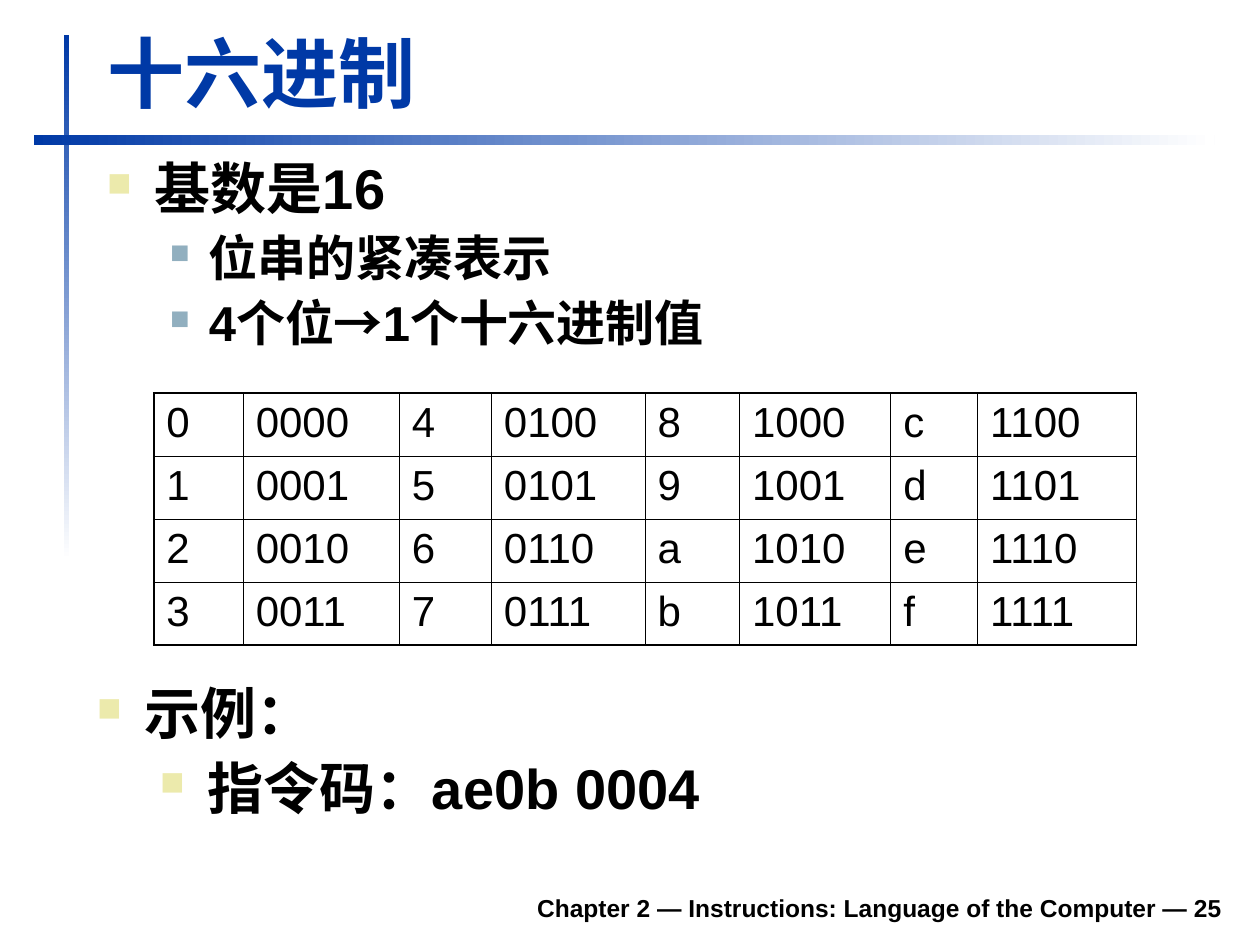
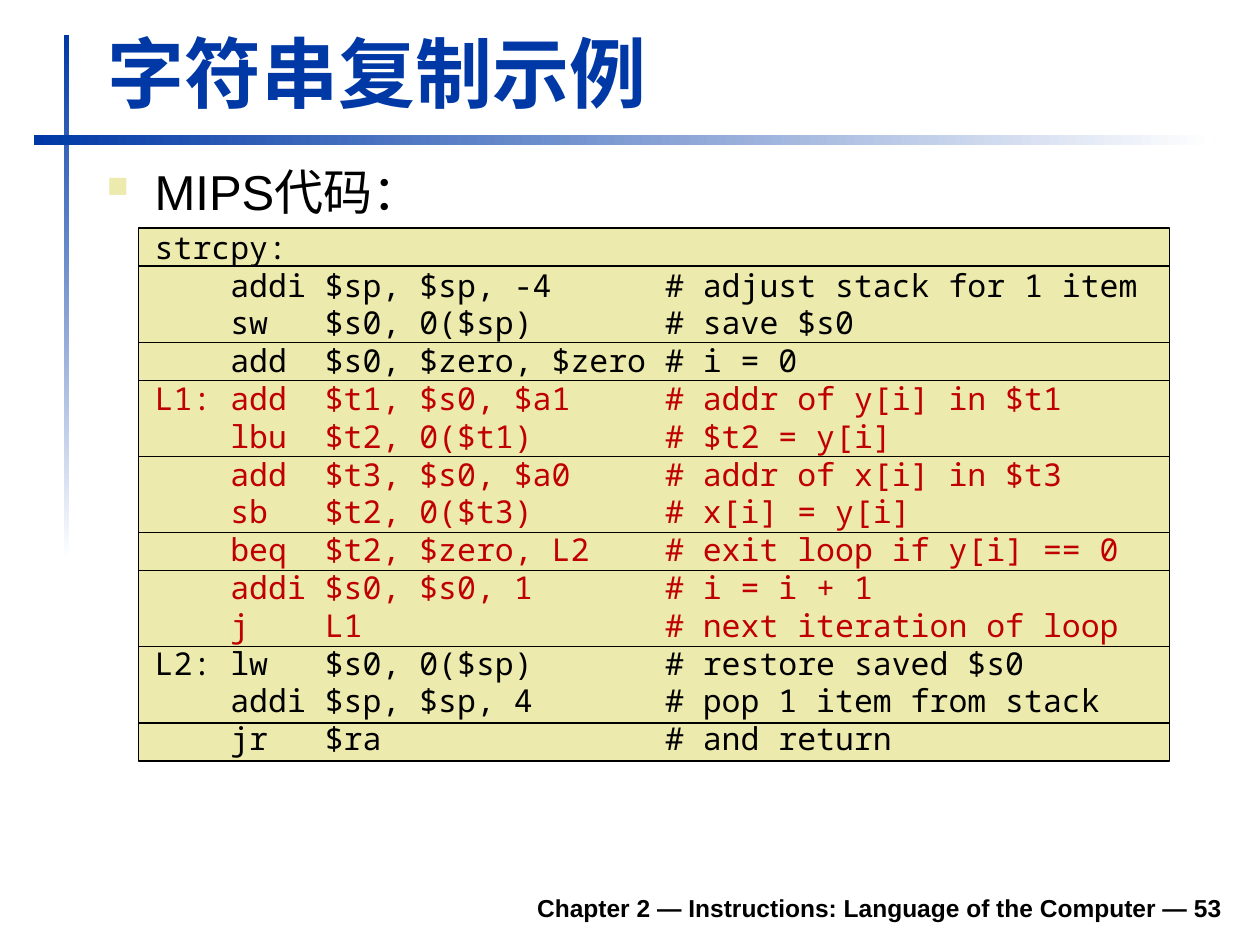
import pptx
import pptx.dml.color
import pptx.enum.shapes
import pptx.enum.text
import pptx.oxml
import pptx.oxml.ns
import pptx.util
from pptx.util import Inches

RGB = pptx.dml.color.RGBColor
BLUE = RGB(0x00, 0x39, 0xA6)
WHITE = RGB(0xFF, 0xFF, 0xFF)
BLACK = RGB(0x00, 0x00, 0x00)
RED = RGB(0xC0, 0x00, 0x00)
CREAM = RGB(0xEC, 0xEA, 0xAC)
STEEL = RGB(0x91, 0xAF, 0xBF)

FACE = "Arial"
MONO = "Noto Sans Mono"
FOOTER = "Chapter 2 — Instructions: Language of the Computer — "

# Bullet styles: level, margin, hang, space before, colour, bullet size, text size
TOP = (0, 0.38, 0.38, 8, CREAM, 60, 32)
SUB = (1, 0.81, 0.31, 7, STEEL, 55, 28)
DEEP = (1, 0.88, 0.38, 8, CREAM, 60, 32)
LEAD = (0, 0.38, 0.38, 7, CREAM, 60, 28)

HEX = [
    ["0", "0000", "4", "0100", "8", "1000", "c", "1100"],
    ["1", "0001", "5", "0101", "9", "1001", "d", "1101"],
    ["2", "0010", "6", "0110", "a", "1010", "e", "1110"],
    ["3", "0011", "7", "0111", "b", "1011", "f", "1111"],
]
WIDTHS = [0.71, 1.24, 0.73, 1.22, 0.75, 1.2, 0.69, 1.26]

# Each block of code stands on its own band
CODE = [
    (BLACK, "strcpy:"),
    (BLACK, "    addi $sp, $sp, -4      # adjust stack for 1 item\n"
            "    sw   $s0, 0($sp)       # save $s0"),
    (BLACK, "    add  $s0, $zero, $zero # i = 0"),
    (RED, "L1: add  $t1, $s0, $a1     # addr of y[i] in $t1\n"
          "    lbu  $t2, 0($t1)       # $t2 = y[i]"),
    (RED, "    add  $t3, $s0, $a0     # addr of x[i] in $t3\n"
          "    sb   $t2, 0($t3)       # x[i] = y[i]"),
    (RED, "    beq  $t2, $zero, L2    # exit loop if y[i] == 0"),
    (RED, "    addi $s0, $s0, 1       # i = i + 1\n"
          "    j    L1                # next iteration of loop"),
    (BLACK, "L2: lw   $s0, 0($sp)       # restore saved $s0\n"
            "    addi $sp, $sp, 4       # pop 1 item from stack"),
    (BLACK, "    jr   $ra               # and return"),
]


def set_font(para, size, color=BLACK, bold=False, name=FACE):
    font = para.font
    font.name = name
    font.size = pptx.util.Pt(size)
    font.bold = bold
    font.color.rgb = color


def add_xml(parent, body):
    parent.append(pptx.oxml.parse_xml(
        body.replace(" ", f' {pptx.oxml.ns.nsdecls("a")} ', 1)))


def add_rect(slide, left, top, width, height):
    rect = slide.shapes.add_shape(
        pptx.enum.shapes.MSO_SHAPE.RECTANGLE,
        Inches(left), Inches(top), Inches(width), Inches(height))
    rect.shadow.inherit = False
    return rect


def add_bar(slide, left, top, width, height, angle):
    """Bar that fades from blue to white."""
    bar = add_rect(slide, left, top, width, height)
    bar.line.fill.background()
    bar.fill.gradient()
    bar.fill.gradient_angle = angle
    for stop, color in zip(bar.fill.gradient_stops, (BLUE, WHITE)):
        stop.color.rgb = color


def add_box(slide, left, top, width, height):
    box = slide.shapes.add_textbox(
        Inches(left), Inches(top), Inches(width), Inches(height))
    box.text_frame.word_wrap = True
    return box.text_frame


def next_para(frame):
    """First paragraph while the frame is empty, else a new one."""
    first = frame.paragraphs[0]
    return frame.add_paragraph() if first.text else first


def add_item(frame, text, style, bold=True, spacing=0.9):
    level, margin, hang, before, color, scale, size = style
    is_first = not frame.text
    para = next_para(frame)
    para.text = text
    para.level = level
    para.line_spacing = spacing
    para.space_before = pptx.util.Pt(0 if is_first else before)
    props = para._p.get_or_add_pPr()
    props.set("marL", str(Inches(margin)))
    props.set("indent", str(-Inches(hang)))
    add_xml(props, f'<a:buClr ><a:srgbClr val="{color}"/></a:buClr>')
    add_xml(props, f'<a:buSzPct val="{scale * 1000}"/>')
    add_xml(props, '<a:buChar char="■"/>')
    set_font(para, size, bold=bold)


def add_slide(deck, title, page):
    """Slide with the shared bars, title and footer."""
    slide = deck.slides.add_slide(deck.slide_layouts[5])
    add_bar(slide, 0.51, 0.28, 0.04, 4.17, 270)
    add_bar(slide, 0.27, 1.07, 9.37, 0.08, 0)

    head = slide.shapes.title
    head.left, head.top = Inches(0.75), Inches(0.16)
    head.width, head.height = Inches(9.03), Inches(0.83)
    frame = head.text_frame
    frame.text = title
    frame.auto_size = pptx.enum.text.MSO_AUTO_SIZE.NONE
    frame.vertical_anchor = pptx.enum.text.MSO_ANCHOR.BOTTOM
    frame.paragraphs[0].alignment = pptx.enum.text.PP_ALIGN.LEFT
    set_font(frame.paragraphs[0], 44, BLUE, True)

    foot = add_box(slide, 1.85, 6.98, 7.95, 0.39)
    foot.vertical_anchor = pptx.enum.text.MSO_ANCHOR.BOTTOM
    foot.text = f"{FOOTER}{page}"
    foot.paragraphs[0].alignment = pptx.enum.text.PP_ALIGN.RIGHT
    set_font(foot.paragraphs[0], 14, bold=True)
    return slide


def set_edges(cell, outer):
    """Thick lines on the outer sides, thin lines elsewhere."""
    props = cell._tc.get_or_add_tcPr()
    for side in "LRTB":
        width = pptx.util.Pt(1.08 if side in outer else 0.45)
        add_xml(props, f'<a:ln{side} w="{width}"><a:solidFill>'
                       f'<a:srgbClr val="{BLACK}"/></a:solidFill></a:ln{side}>')


def add_grid(slide, rows, widths, left, top, height):
    count, last = len(rows), len(widths) - 1
    table = slide.shapes.add_table(
        count, len(widths), Inches(left), Inches(top),
        Inches(sum(widths)), Inches(height * count)).table
    table.first_row = table.horz_banding = False
    for col, width in zip(table.columns, widths):
        col.width = Inches(width)
    for i, row in enumerate(rows):
        for j, text in enumerate(row):
            cell = table.cell(i, j)
            cell.text = text
            set_font(cell.text_frame.paragraphs[0], 24)
            outer = (("L" if j == 0 else "") + ("R" if j == last else "")
                     + ("T" if i == 0 else "")
                     + ("B" if i == count - 1 else ""))
            set_edges(cell, outer)
            cell.fill.background()


def add_bands(slide, left, top, width, height):
    """Bands as tall as the code blocks that they carry."""
    sizes = [code.count("\n") + 1 for _, code in CODE]
    pitch = height / sum(sizes)
    for size in sizes:
        band = add_rect(slide, left, top, width, size * pitch)
        band.fill.solid()
        band.fill.fore_color.rgb = CREAM
        band.line.color.rgb = BLACK
        band.line.width = pptx.util.Pt(0.75)
        top += size * pitch


def add_code(frame, margin):
    for i, (color, code) in enumerate(CODE):
        para = next_para(frame)
        para.text = code
        para.space_before = pptx.util.Pt(0 if i else 4.5)
        props = para._p.get_or_add_pPr()
        props.set("marL", str(Inches(margin)))
        props.set("indent", "0")
        set_font(para, 18, color, name=MONO)


def hex_slide(deck):
    slide = add_slide(deck, "十六进制", 25)
    facts = add_box(slide, 0.75, 1.23, 9.04, 1.73)
    add_item(facts, "基数是16", TOP)
    add_item(facts, "位串的紧凑表示", SUB)
    add_item(facts, "4个位→1个十六进制值", SUB)
    add_grid(slide, HEX, WIDTHS, 1.22, 3.12, 0.5)
    sample = add_box(slide, 0.67, 5.4, 9.04, 1.5)
    add_item(sample, "示例：", TOP)
    add_item(sample, "指令码：ae0b 0004", DEEP)


def copy_slide(deck):
    slide = add_slide(deck, "字符串复制示例", 53)
    add_bands(slide, 1.1, 1.81, 8.18, 4.23)
    body = add_box(slide, 0.75, 1.23, 9.04, 5.59)
    add_item(body, "MIPS代码：", LEAD, bold=False, spacing=1.0)
    add_code(body, 0.38)


def main():
    deck = pptx.Presentation()
    deck.slide_width, deck.slide_height = Inches(10), Inches(7.5)
    hex_slide(deck)
    copy_slide(deck)
    deck.save("out.pptx")


if __name__ == "__main__":
    main()
